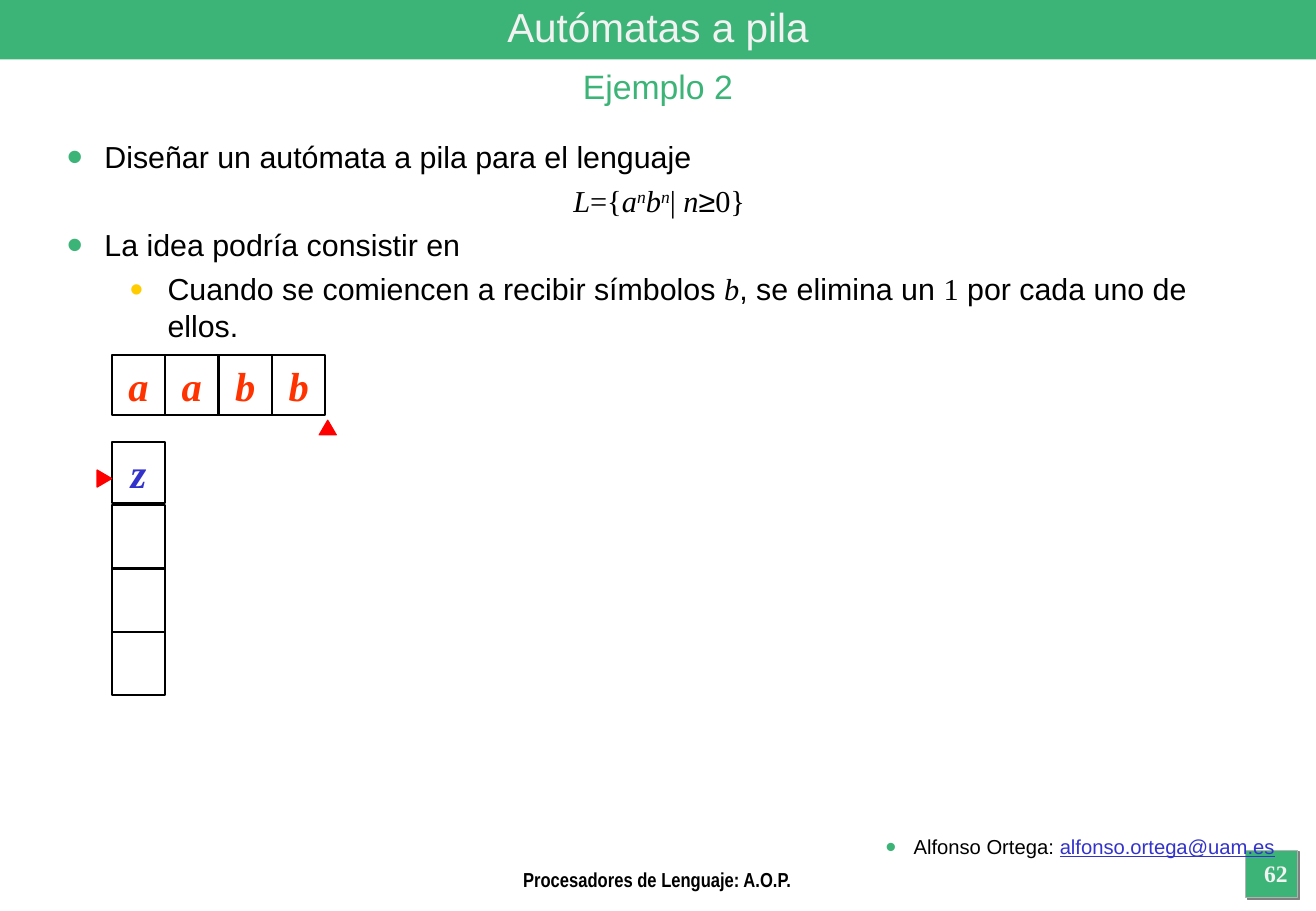
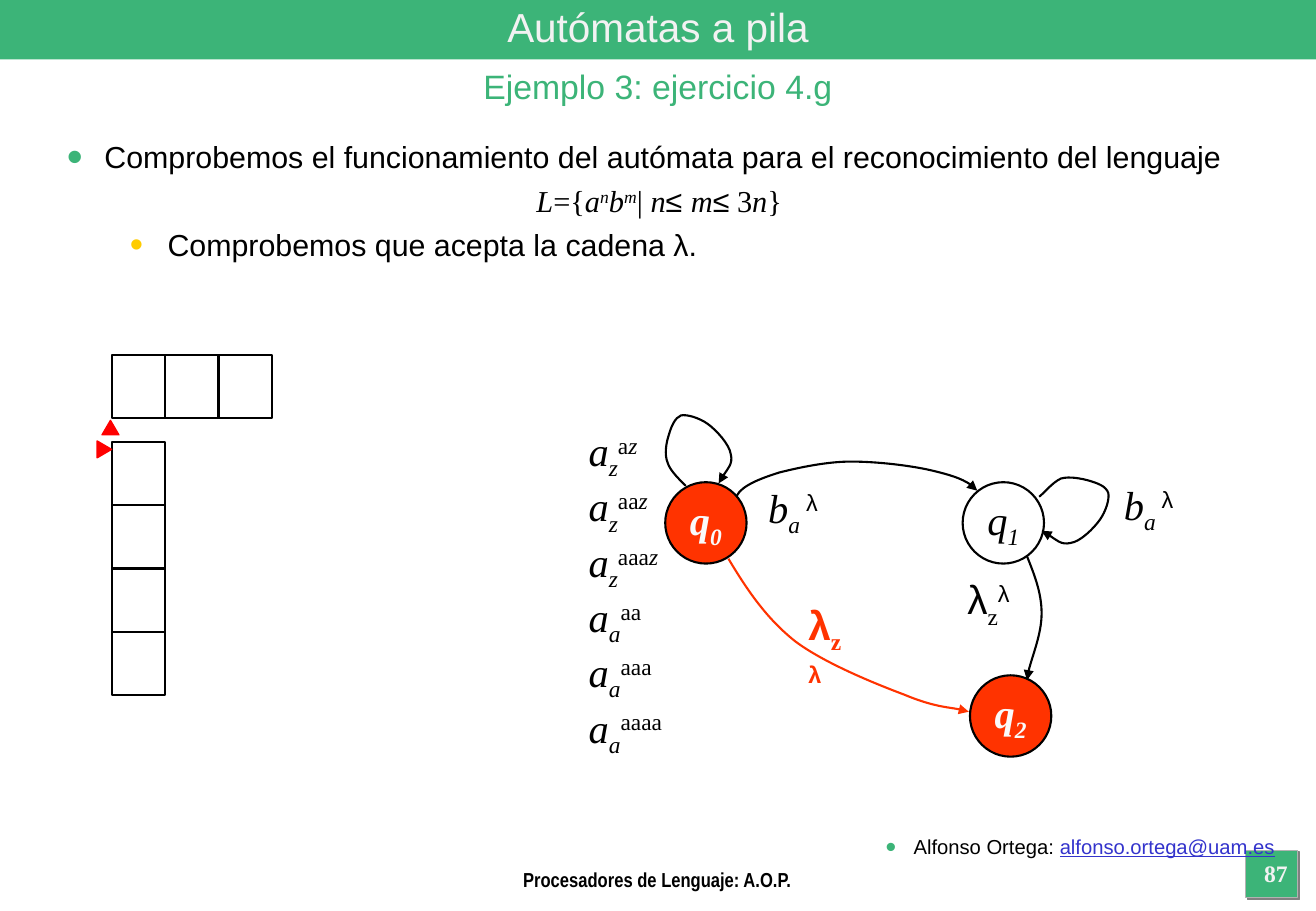
import lxml.etree
import pptx
import pptx.dml.color
import pptx.enum.shapes
import pptx.enum.text
import pptx.oxml.ns
import pptx.util

Inches = pptx.util.Inches
Pt = pptx.util.Pt
RGBColor = pptx.dml.color.RGBColor
SHAPE = pptx.enum.shapes.MSO_SHAPE
ALIGN = pptx.enum.text.PP_ALIGN
ANCHOR = pptx.enum.text.MSO_ANCHOR
qn = pptx.oxml.ns.qn

GREEN = RGBColor(0x3C, 0xB4, 0x78)
GOLD = RGBColor(0xFF, 0xCC, 0x00)
BLACK = RGBColor(0x00, 0x00, 0x00)
GREY = RGBColor(0xB2, 0xB2, 0xB2)
SHADOW_GREY = RGBColor(0x80, 0x80, 0x80)
OFF_WHITE = RGBColor(0xF2, 0xF2, 0xF2)
STATE_WHITE = RGBColor(0xFA, 0xFA, 0xFA)
BLUE = RGBColor(0x33, 0x33, 0xCC)
ORANGE = RGBColor(0xFF, 0x33, 0x00)
RED = RGBColor(0xFF, 0x00, 0x00)

ARIAL, TIMES = "Arial", "Times New Roman"
SUB, SUP = -25000, 30000

# Run formats
ROMAN = {"name": TIMES}
ITALIC = {"name": TIMES, "italic": True}
ROMAN_SUB = {**ROMAN, "baseline": SUB}
ITALIC_SUB = {**ITALIC, "baseline": SUB}
ROMAN_SUP = {**ROMAN, "baseline": SUP}
ITALIC_SUP = {**ITALIC, "baseline": SUP}
ARIAL_SUP = {"name": ARIAL, "baseline": SUP}

WIDTH, HEIGHT = 10.84, 7.5
CELL_WIDTH, CELL_HEIGHT = 0.44, 0.52
TAPE_LEFT, TAPE_TOP = 0.92, 2.92
STACK_LEFT, STACK_TOP = 0.92, 3.64
STACK_SIZE = 4
STATE_SIZE = 0.67

POP_A = [("b", ITALIC), ("a ", ITALIC_SUB), ("λ", ARIAL_SUP)]
POP_Z = [("λ", {}), ("z", ROMAN_SUB), ("λ", ARIAL_SUP)]


class Deck:
    def __init__(self):
        self.presentation = pptx.Presentation()
        self.presentation.slide_width = Inches(WIDTH)
        self.presentation.slide_height = Inches(HEIGHT)
        self.slide = None

    def start(self, subtitle, number):
        """Add a slide with the band, titles, credits and page number."""
        self.slide = self.presentation.slides.add_slide(
            self.presentation.slide_layouts[1])
        page_box = self.shape(SHAPE.RECTANGLE, (10.26, 7, 0.43, 0.39), GREEN, GREY, 0.75)
        band = self.shape(SHAPE.RECTANGLE, (0, 0, WIDTH, 0.49), GREEN, None)
        for backdrop in (band, page_box):
            self.slide.shapes._spTree.insert(2, backdrop._element)
        self.drop_shadow(page_box)

        title = self.slide.shapes.title
        self.place(title, (0, 0, WIDTH, 0.44), ANCHOR.MIDDLE)
        self.add_runs(title.text_frame.paragraphs[0], [("Autómatas a pila", {})],
                      ALIGN.CENTER, size=Pt(24), color=OFF_WHITE)
        self.text((0, 0.49, WIDTH, 0.44), [[(subtitle, {})]], ALIGN.CENTER,
                  size=Pt(20), color=GREEN)

        author = self.text((3.02, 6.82, 7.58, 0.4), [[]])
        author_line = author.text_frame.paragraphs[0]
        self.bullet(author_line, 0.23, 0.23, GREEN, 150)
        self.add_runs(author_line,
                      [("Alfonso Ortega: ", {}),
                       ("alfonso.ortega@uam.es", {"color": BLUE, "underline": True})],
                      ALIGN.RIGHT, size=Pt(12))
        self.text((3.01, 7.09, 4.81, 0.18),
                  [[("Procesadores de Lenguaje: A.O.P.", {})]], ALIGN.CENTER,
                  name="Arial Narrow", size=Pt(12), bold=True)
        self.text((10.24, 7.02, 0.54, 0.35), [[(number, {})]], ALIGN.CENTER,
                  name=TIMES, size=Pt(14), bold=True, color=OFF_WHITE)

    def place(self, box, at, anchor=ANCHOR.TOP):
        box.left, box.top, box.width, box.height = map(Inches, at)
        frame = box.text_frame
        settings = {"word_wrap": True, "vertical_anchor": anchor,
                    "auto_size": pptx.enum.text.MSO_AUTO_SIZE.NONE,
                    "margin_left": Inches(0.1), "margin_right": Inches(0.1),
                    "margin_top": Inches(0.05), "margin_bottom": Inches(0.05)}
        for key, value in settings.items():
            setattr(frame, key, value)

    def add_runs(self, paragraph, runs, align=ALIGN.LEFT, **base):
        """Add (text, format) runs; each format overrides the base format."""
        paragraph.alignment = align
        for text, changes in runs:
            run = paragraph.add_run()
            run.text = text
            values = {"name": ARIAL, "color": BLACK, **base, **changes}
            run.font.color.rgb = values.pop("color")
            baseline = values.pop("baseline", None)
            for key, value in values.items():
                setattr(run.font, key, value)
            if baseline:
                run.font._element.set("baseline", str(baseline))

    def text(self, at, lines, align=ALIGN.LEFT, **base):
        box = self.slide.shapes.add_textbox(0, 0, 0, 0)
        self.place(box, at)
        frame = box.text_frame
        for index, runs in enumerate(lines):
            paragraph = frame.add_paragraph() if index else frame.paragraphs[0]
            self.add_runs(paragraph, runs, align, **base)
        return box

    def bullet(self, paragraph, margin, hanging, color, percent):
        """Indent the paragraph and mark it, or leave it unmarked without a color."""
        properties = paragraph._p.get_or_add_pPr()
        properties.set("marL", str(Inches(margin)))
        properties.set("indent", str(-Inches(hanging)))
        if color is None:
            lxml.etree.SubElement(properties, qn("a:buNone"))
            return
        bullet_color = lxml.etree.SubElement(properties, qn("a:buClr"))
        lxml.etree.SubElement(bullet_color, qn("a:srgbClr"), val=str(color))
        lxml.etree.SubElement(properties, qn("a:buSzPct"), val=str(percent * 1000))
        lxml.etree.SubElement(properties, qn("a:buFont"), typeface=ARIAL)
        lxml.etree.SubElement(properties, qn("a:buChar"), char="•")

    def body(self, items):
        """Fill the body from (kind, runs): point, formula or detail."""
        kinds = {"point": (0, ALIGN.LEFT, 0.31, GREEN, 150),
                 "formula": (0, ALIGN.CENTER, 0.31, None, 0),
                 "detail": (1, ALIGN.LEFT, 0.83, GOLD, 125)}
        body = self.slide.placeholders[1]
        self.place(body, (0.45, 1.09, 9.96, 5.74))
        frame = body.text_frame
        for index, (kind, runs) in enumerate(items):
            level, align, margin, color, percent = kinds[kind]
            paragraph = frame.add_paragraph() if index else frame.paragraphs[0]
            paragraph.level = level
            paragraph.space_before = Pt(4.5 if index else 0)
            self.bullet(paragraph, margin, 0.31, color, percent)
            self.add_runs(paragraph, runs, align, size=Pt(18))

    def shape(self, preset, at, fill=None, line=BLACK, weight=1.25):
        shape = self.slide.shapes.add_shape(preset, *map(Inches, at))
        self.paint(shape, fill, line, weight)
        return shape

    def paint(self, shape, fill, line, weight):
        shape.shadow.inherit = False
        if fill is None:
            shape.fill.background()
        else:
            shape.fill.solid()
            shape.fill.fore_color.rgb = fill
        if line is None:
            shape.line.fill.background()
        else:
            shape.line.color.rgb = line
            shape.line.width = Pt(weight)

    def drop_shadow(self, shape):
        effects = shape._element.spPr.find(qn("a:effectLst"))
        shadow = lxml.etree.SubElement(effects, qn("a:outerShdw"), blurRad="0",
                                       dist=str(Pt(1.4)), dir="2700000")
        lxml.etree.SubElement(shadow, qn("a:srgbClr"), val=str(SHADOW_GREY))

    def cell(self, left, top, letter="", color=ORANGE):
        height = 0.5 if letter else CELL_HEIGHT
        cell = self.shape(SHAPE.RECTANGLE, (left, top, CELL_WIDTH, height))
        if letter:
            self.add_runs(cell.text_frame.paragraphs[0], [(letter, ITALIC)],
                          ALIGN.CENTER, size=Pt(24), bold=True, color=color)

    def tape(self, letters, head_left):
        for index, letter in enumerate(letters):
            self.cell(TAPE_LEFT + index * CELL_WIDTH, TAPE_TOP, letter)
        self.head(head_left, 3.46, 0)

    def stack(self, top_symbol, head_top):
        for index in range(STACK_SIZE):
            self.cell(STACK_LEFT, STACK_TOP + index * CELL_HEIGHT,
                      "" if index else top_symbol, BLUE)
        self.head(0.79, head_top, 90)

    def head(self, left, top, rotation):
        head = self.shape(SHAPE.ISOSCELES_TRIANGLE, (left, top, 0.14, 0.12),
                          RED, RED, 0.75)
        head.rotation = rotation

    def state(self, left, top, index, active):
        state = self.shape(SHAPE.OVAL, (left, top, STATE_SIZE, STATE_SIZE),
                           ORANGE if active else None)
        self.place(state, (left, top, STATE_SIZE, STATE_SIZE), ANCHOR.MIDDLE)
        state.text_frame.word_wrap = False
        self.add_runs(state.text_frame.paragraphs[0],
                      [("q", ITALIC), (index, ITALIC_SUB)], ALIGN.CENTER, size=Pt(24),
                      bold=active, color=STATE_WHITE if active else BLACK)

    def transition(self, points, color=BLACK):
        """Draw an arrow through a start point and triples of Bézier points."""
        start, *others = [tuple(map(Inches, point)) for point in points]
        builder = self.slide.shapes.build_freeform(*start)
        builder.add_line_segments(others, close=False)
        arrow = builder.convert_to_shape()
        self.paint(arrow, None, color, 1.25)
        segments = arrow._element.xpath(".//a:lnTo")
        for first in range(0, len(segments), 3):
            curve, *rest = segments[first:first + 3]
            curve.tag = qn("a:cubicBezTo")
            for segment in rest:
                curve.append(segment[0])
                segment.getparent().remove(segment)
        outline = arrow._element.spPr.find(qn("a:ln"))
        lxml.etree.SubElement(outline, qn("a:tailEnd"), type="triangle")


def build_example_2(deck):
    deck.start("Ejemplo 2", "62")
    deck.body([
        ("point", [("Diseñar un autómata a pila para el lenguaje", {})]),
        ("formula", [("L", ITALIC), ("={", ROMAN), ("a", ITALIC), ("n", ITALIC_SUP),
                     ("b", ITALIC), ("n", ITALIC_SUP), ("| ", ROMAN), ("n", ITALIC),
                     ("≥", {}), ("0}", ROMAN)]),
        ("point", [("La idea podría consistir en", {})]),
        ("detail", [("Cuando se comiencen a recibir símbolos ", {}), ("b", ITALIC),
                    (", se elimina un ", {}), ("1", ROMAN),
                    (" por cada uno de ellos.", {})]),
    ])
    deck.tape("aabb", 2.63)
    deck.stack("z", 3.88)


def build_example_3(deck):
    deck.start("Ejemplo 3: ejercicio 4.g", "87")
    deck.body([
        ("point", [("Comprobemos el funcionamiento del autómata para el "
                    "reconocimiento del lenguaje", {})]),
        ("formula", [("L", ITALIC), ("={", ROMAN), ("a", ITALIC), ("n", ITALIC_SUP),
                     ("b", ITALIC), ("m", ITALIC_SUP), ("| ", ROMAN), ("n", ITALIC),
                     ("≤ ", {}), ("m", ITALIC), ("≤", {}), (" 3", ROMAN),
                     ("n", ITALIC), ("}", ROMAN)]),
        ("detail", [("Comprobemos que acepta la cadena λ.", {})]),
    ])
    deck.tape([""] * 3, 0.84)
    deck.stack("", 3.64)

    for left, top, index, active in ((5.48, 3.97, "0", True), (7.93, 3.97, "1", False),
                                     (7.99, 5.56, "2", True)):
        deck.state(left, top, index, active)

    q0_loop = [(5.65, 4), (5.62, 3.97), (5.52, 3.88), (5.5, 3.81),
               (5.47, 3.74), (5.49, 3.64), (5.51, 3.58),
               (5.53, 3.51), (5.56, 3.44), (5.61, 3.42),
               (5.66, 3.41), (5.76, 3.44), (5.83, 3.49),
               (5.9, 3.54), (6.01, 3.66), (6.02, 3.74),
               (6.04, 3.82), (5.94, 3.93), (5.92, 3.98)]
    q0_to_q1 = [(6.07, 4.08), (6.11, 4), (6.26, 3.94), (6.42, 3.89),
                (6.58, 3.85), (6.81, 3.8), (7.01, 3.8),
                (7.22, 3.8), (7.48, 3.83), (7.66, 3.87),
                (7.83, 3.91), (7.99, 3.96), (8.05, 4.04)]
    q1_loop = [(8.56, 4.09), (8.59, 4.07), (8.67, 3.97), (8.74, 3.94),
               (8.81, 3.92), (8.91, 3.94), (8.98, 3.96),
               (9.04, 3.98), (9.11, 4), (9.13, 4.06),
               (9.14, 4.11), (9.11, 4.21), (9.06, 4.28),
               (9.01, 4.35), (8.9, 4.46), (8.82, 4.47),
               (8.74, 4.49), (8.63, 4.39), (8.58, 4.37)]
    q1_to_q2 = [(8.46, 4.58), (8.52, 4.73), (8.58, 4.88), (8.58, 5.05),
                (8.58, 5.22), (8.46, 5.51), (8.46, 5.6)]
    q0_to_q2 = [(6, 4.6), (6.15, 4.85), (6.31, 5.09), (6.55, 5.28),
                (6.79, 5.46), (7.21, 5.63), (7.45, 5.72),
                (7.69, 5.82), (7.9, 5.83), (7.98, 5.86)]
    for route in (q0_loop, q0_to_q1, q1_loop, q1_to_q2):
        deck.transition(route)
    deck.transition(q0_to_q2, ORANGE)

    pushes = [[("a", ITALIC), ("z", ITALIC_SUB), ("a" * count, ROMAN_SUP),
               ("z", ITALIC_SUP)] for count in (1, 2, 3)]
    pushes += [[("a", ITALIC), ("a", ITALIC_SUB), ("a" * count, ROMAN_SUP)]
               for count in (2, 3, 4)]
    deck.text((4.75, 3.46, 0.9, 2.83), pushes, size=Pt(24))
    for left, top, label in ((6.23, 3.93, POP_A), (9.16, 3.9, POP_A), (7.87, 4.68, POP_Z)):
        deck.text((left, top, 0.8, 0.56), [label], size=Pt(24))
    deck.text((6.56, 4.89, 0.55, 0.56), [POP_Z], size=Pt(24), bold=True, color=ORANGE)


def main():
    deck = Deck()
    build_example_2(deck)
    build_example_3(deck)
    deck.presentation.save("out.pptx")


if __name__ == "__main__":
    main()
